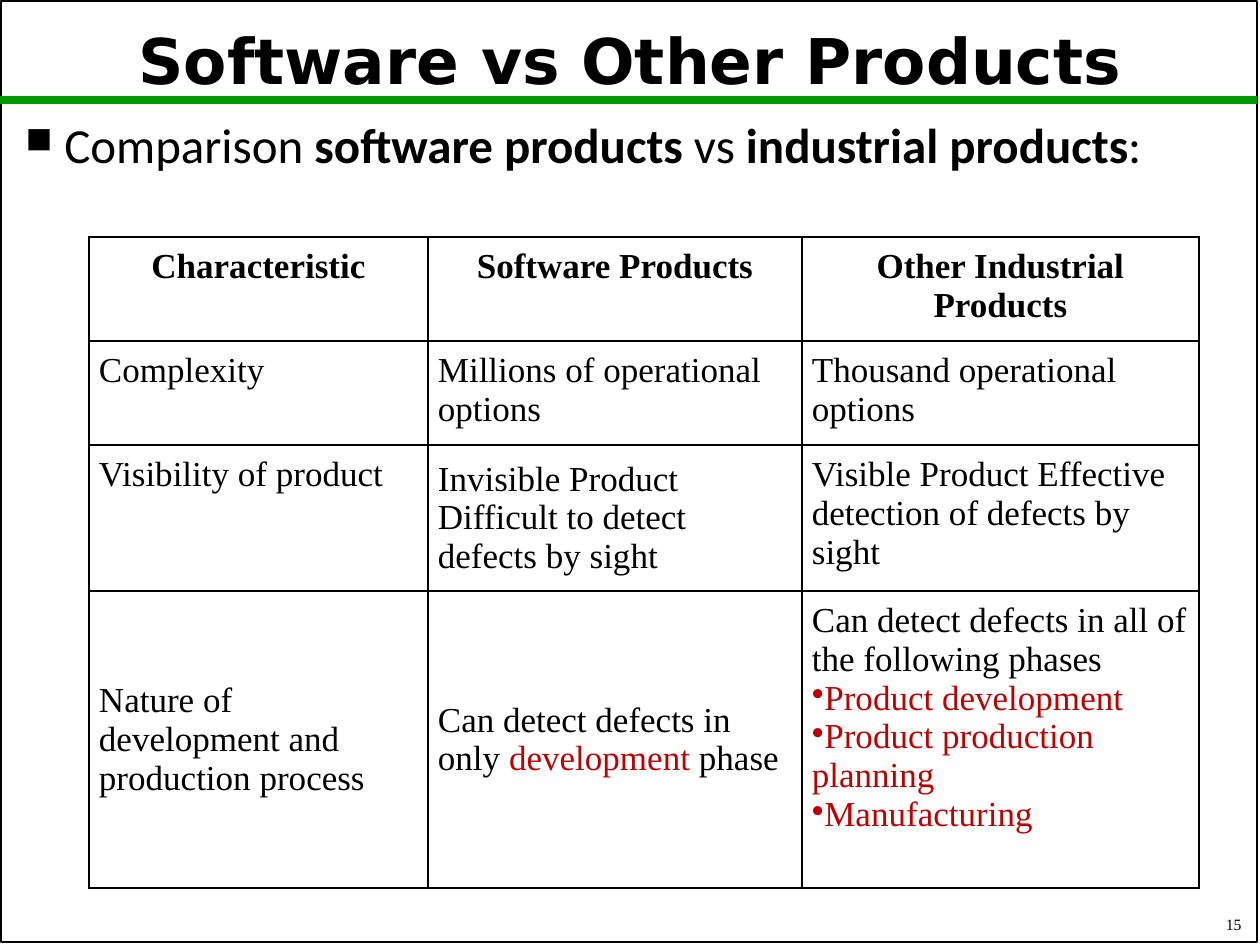
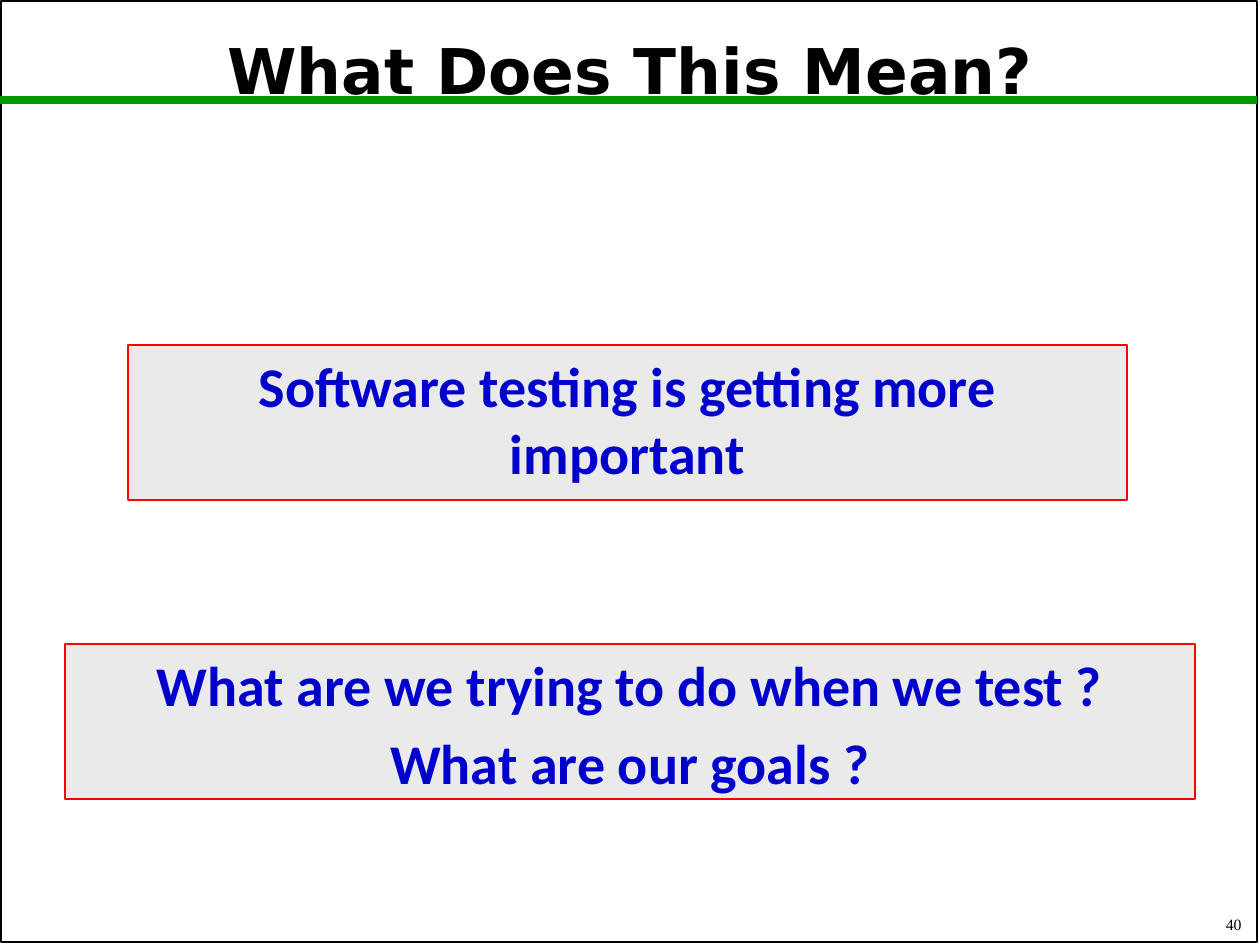
import pptx
import pptx.util
import pptx.dml.color
import pptx.enum.shapes
import pptx.enum.text
import pptx.oxml.ns
from lxml import etree

# Content: a paragraph is a list of (text, format) runs
COLORS = {"black": "000000", "green": "009900", "red": "FF0000", "dark red": "C00000",
          "grey": "EAEAEA", "blue": "0000CC"}
BOLD = {"bold": True}
ACCENT = {"color": "dark red"}

COMPARISON_TITLE = "Software vs Other Products"
COMPARISON_LEAD = [[("Comparison ", {}), ("software products", BOLD), (" vs ", {}),
                    ("industrial products", BOLD), (":", {})]]
TABLE_HEADER = ["Characteristic", "Software Products", "Other Industrial Products"]
TABLE_ROWS = [
    ["Complexity", "Millions of operational options", "Thousand operational options"],
    ["Visibility of product", "Invisible Product Difficult to detect defects by sight",
     "Visible Product Effective detection of defects by sight"],
    ["Nature of development and production process",
     [[("Can detect defects in only ", {}), ("development ", ACCENT), ("phase", {})]],
     ["Can detect defects in all of the following phases"]],
]
DEFECT_PHASES = ["Product development", "Product production planning", "Manufacturing"]
MIDDLE_CELLS = {(2, 1), (3, 0), (3, 1)}

MEANING_TITLE = "What Does This Mean?"
MESSAGES = [
    ((128, 345, 999, 155), ["Software testing is getting more important"]),
    ((65, 644, 1130, 155), ["What are we trying to do when we test ?", "What are our goals ?"]),
]

# Geometry in px
PX = 914400 / 126
SLIDE_WIDTH, SLIDE_HEIGHT = 1260, 945
TABLE_LEFT, TABLE_TOP = 89, 237
COLUMN_WIDTHS = [339, 374, 397]
ROW_HEIGHTS = [99, 99, 137, 297]
CELL_MARGIN = 10

ALIGN = pptx.enum.text.PP_ALIGN
ANCHOR = pptx.enum.text.MSO_ANCHOR


def emu(*lengths):
    return [pptx.util.Emu(round(length * PX)) for length in lengths]


def rgb(name):
    return pptx.dml.color.RGBColor.from_string(COLORS[name])


def add_element(parent, tag, **attributes):
    return etree.SubElement(parent, pptx.oxml.ns.qn(tag), **attributes)


def write_text(frame, paragraphs, font="Calibri", size=20, color="black", bold=False,
               align=ALIGN.LEFT, anchor=ANCHOR.TOP, line_spacing=None, gap=0,
               bullet=None, bullet_size=100, indent=0, append=False):
    """Write paragraphs (strings or run lists) in one format."""
    frame.word_wrap = True
    frame.vertical_anchor = anchor
    for index, runs in enumerate(paragraphs):
        fresh = index > 0 or append
        paragraph = frame.add_paragraph() if fresh else frame.paragraphs[0]
        paragraph.alignment = align
        if line_spacing:
            paragraph.line_spacing = line_spacing
        if fresh and gap:
            paragraph.space_before = pptx.util.Pt(gap)
        if bullet:
            properties = paragraph._p.get_or_add_pPr()
            hanging = emu(indent)[0]
            properties.set("marL", str(hanging))
            properties.set("indent", str(-hanging))
            add_element(properties, "a:buSzPct", val=str(bullet_size * 1000))
            add_element(properties, "a:buChar", char=bullet)
        for text, changes in [(runs, {})] if isinstance(runs, str) else runs:
            run = paragraph.add_run()
            run.text = text
            run.font.name = font
            run.font.size = pptx.util.Pt(size)
            run.font.bold = changes.get("bold", bold)
            run.font.color.rgb = rgb(changes.get("color", color))


def add_text_box(slide, bounds, paragraphs, **text_format):
    box = slide.shapes.add_textbox(*emu(*bounds))
    write_text(box.text_frame, paragraphs, **text_format)


def add_rectangle(slide, bounds, line, width, fill=None):
    shape = slide.shapes.add_shape(pptx.enum.shapes.MSO_SHAPE.RECTANGLE, *emu(*bounds))
    shape.shadow.inherit = False
    if fill:
        shape.fill.solid()
        shape.fill.fore_color.rgb = rgb(fill)
    else:
        shape.fill.background()
    shape.line.color.rgb = rgb(line)
    shape.line.width = pptx.util.Pt(width)
    return shape


def add_base_slide(presentation, title, title_top, number):
    """Frame, green rule, title and page number shared by all slides."""
    slide = presentation.slides.add_slide(presentation.slide_layouts[6])
    add_rectangle(slide, (1, 1, 1256, 941), "black", 1)
    rule = slide.shapes.add_connector(pptx.enum.shapes.MSO_CONNECTOR.STRAIGHT,
                                      *emu(0, 100, 1257, 100))
    rule.line.color.rgb = rgb("green")
    rule.line.width = pptx.util.Pt(4.5)
    add_element(rule._element.spPr, "a:effectLst")
    add_text_box(slide, (6, title_top, 1248, 120), [title], font="DejaVu Sans", size=36,
                 bold=True, align=ALIGN.CENTER, anchor=ANCHOR.MIDDLE, line_spacing=0.9)
    add_text_box(slide, (992, 903, 262, 37), [str(number)], font="Times New Roman", size=9,
                 align=ALIGN.RIGHT, anchor=ANCHOR.BOTTOM)
    return slide


def style_cell(cell):
    cell.margin_left = cell.margin_right = cell.margin_top = cell.margin_bottom = \
        emu(CELL_MARGIN)[0]
    properties = cell._tc.get_or_add_tcPr()
    for side in ("a:lnL", "a:lnR", "a:lnT", "a:lnB"):
        border = add_element(properties, side, w=str(pptx.util.Pt(1)))
        add_element(add_element(border, "a:solidFill"), "a:srgbClr", val=COLORS["black"])
    cell.fill.background()


def add_comparison_table(slide):
    rows = [TABLE_HEADER] + TABLE_ROWS
    bounds = (TABLE_LEFT, TABLE_TOP, sum(COLUMN_WIDTHS), sum(ROW_HEIGHTS))
    table = slide.shapes.add_table(len(rows), len(COLUMN_WIDTHS), *emu(*bounds)).table
    table.first_row = table.horz_banding = False
    for column, width in zip(table.columns, emu(*COLUMN_WIDTHS)):
        column.width = width
    for row, height in zip(table.rows, emu(*ROW_HEIGHTS)):
        row.height = height
    for row_index, row in enumerate(rows):
        header = row_index == 0
        for column_index, content in enumerate(row):
            cell = table.cell(row_index, column_index)
            style_cell(cell)
            write_text(cell.text_frame, [content] if isinstance(content, str) else content,
                       font="Times New Roman", bold=header,
                       align=ALIGN.CENTER if header else ALIGN.LEFT)
            middle = (row_index, column_index) in MIDDLE_CELLS
            cell.vertical_anchor = ANCHOR.MIDDLE if middle else ANCHOR.TOP
    # Phases listed in the last cell
    write_text(cell.text_frame, DEFECT_PHASES, font="Times New Roman", color="dark red",
               bullet="•", append=True)


def main():
    presentation = pptx.Presentation()
    presentation.slide_width, presentation.slide_height = emu(SLIDE_WIDTH, SLIDE_HEIGHT)

    # Comparison table
    slide = add_base_slide(presentation, COMPARISON_TITLE, 4, 15)
    add_text_box(slide, (13, 115, 1236, 790), COMPARISON_LEAD, size=28, line_spacing=0.9,
                 bullet="■", bullet_size=75, indent=39)
    add_comparison_table(slide)

    # Message boxes
    slide = add_base_slide(presentation, MEANING_TITLE, 14, 40)
    for bounds, paragraphs in MESSAGES:
        box = add_rectangle(slide, bounds, "red", 0.75, fill="grey")
        write_text(box.text_frame, paragraphs, size=32, color="blue", bold=True,
                   align=ALIGN.CENTER, gap=6.4)

    presentation.save("out.pptx")


if __name__ == "__main__":
    main()
